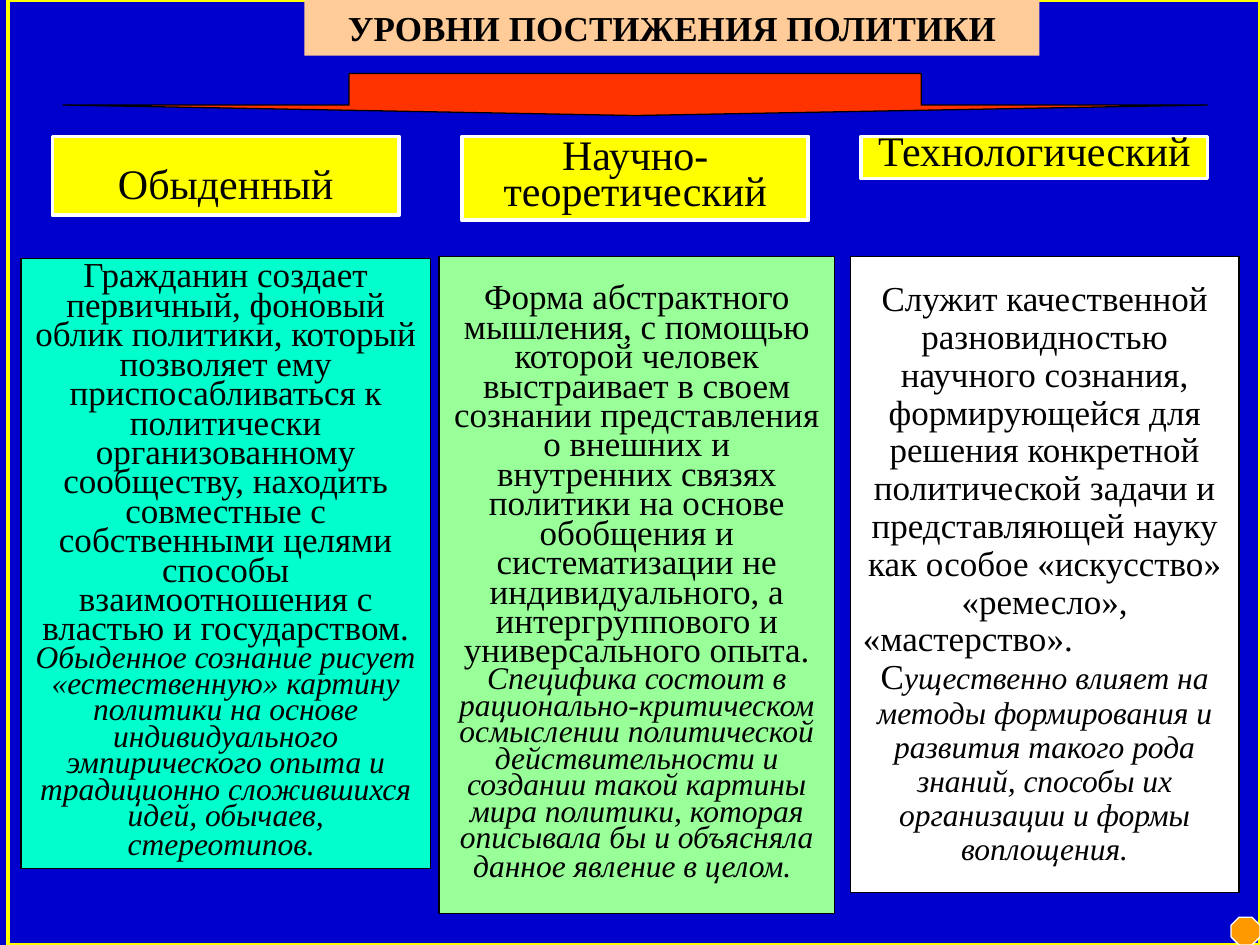
from dataclasses import dataclass

from pptx import Presentation
from pptx.dml.color import RGBColor
from pptx.enum.shapes import MSO_SHAPE
from pptx.enum.text import MSO_ANCHOR, PP_ALIGN
from pptx.util import Inches, Pt

COLUMNS, ROWS = 120, 90


@dataclass(frozen=True)
class Theme:
    font: str = "Times New Roman"
    background: str = "0000CC"
    ink: str = "000000"
    white: str = "FFFFFF"
    yellow: str = "FFFF00"
    peach: str = "FFCC99"
    red: str = "FF3300"
    orange: str = "FF9900"
    turquoise: str = "00FFCC"
    green: str = "99FF99"
    heading: int = 24
    body: int = 20
    remark: int = 18
    thin: float = 0.75
    thick: float = 2.25


THEME = Theme()
TITLE = {"size": Pt(THEME.body), "bold": True}
HEADING = {"size": Pt(THEME.heading)}
BODY = {"size": Pt(THEME.body)}
REMARK = {"size": Pt(THEME.remark), "italic": True}


class SlideBuilder:
    def __init__(self, presentation, theme):
        self.theme = theme
        self.column = presentation.slide_width / COLUMNS
        self.row = presentation.slide_height / ROWS
        self.slide = presentation.slides.add_slide(presentation.slide_layouts[6])
        fill = self.slide.background.fill
        fill.solid()
        fill.fore_color.rgb = RGBColor.from_string(theme.background)

    def shape(self, kind, place, fill=None, line=None, width=THEME.thin, adjustments=()):
        """Add a preset shape; place is left, top, width, height in grid units."""
        left, top, across, down = place
        shape = self.slide.shapes.add_shape(
            kind, int(left * self.column), int(top * self.row),
            int(across * self.column), int(down * self.row))
        shape.shadow.inherit = False
        for index, value in enumerate(adjustments):
            shape.adjustments[index] = value
        for target, color in ((shape.fill, fill), (shape.line.fill, line)):
            if color:
                target.solid()
                target.fore_color.rgb = RGBColor.from_string(color)
            else:
                target.background()
        if line:
            shape.line.width = Pt(width)
        return shape

    def text_box(self, place, fill, paragraphs, spacing=1.0, anchor=MSO_ANCHOR.TOP, **outline):
        """Add a filled box; each paragraph is an alignment and its (text, format) runs."""
        frame = self.shape(MSO_SHAPE.RECTANGLE, place, fill, **outline).text_frame
        frame.word_wrap = True
        frame.vertical_anchor = anchor
        for index, (alignment, runs) in enumerate(paragraphs):
            paragraph = frame.add_paragraph() if index else frame.paragraphs[0]
            paragraph.alignment = alignment
            paragraph.line_spacing = spacing
            for text, values in runs:
                run = paragraph.add_run()
                run.text = text
                run.font.color.rgb = RGBColor.from_string(self.theme.ink)
                for name, value in {"name": self.theme.font, **values}.items():
                    setattr(run.font, name, value)

    def heading(self, left, height, text, spacing):
        self.text_box((left, 13, 33, height), self.theme.yellow,
                      [(PP_ALIGN.CENTER, [(text, HEADING)])], spacing,
                      line=self.theme.white, width=self.theme.thick)


LEVELS = [
    {
        "heading": (5, 7.5, "Обыденный", 1.3),
        "place": (2, 24.6, 39, 58.1), "fill": THEME.turquoise,
        "spacing": 0.7, "anchor": MSO_ANCHOR.TOP,
        "paragraphs": [(PP_ALIGN.CENTER, [
            ("Гражданин создает первичный, фоновый облик политики, который позволяет ему "
             "приспосабливаться к политически организованному сообществу, находить совместные "
             "с собственными целями способы взаимоотношения с властью и государством. ", BODY),
            ("Обыденное сознание рисует «естественную» картину политики на основе "
             "индивидуального эмпирического опыта и традиционно сложившихся идей, обычаев, "
             "стереотипов.", REMARK),
            (" ", BODY)])],
    },
    {
        "heading": (44, 8, "Научно-теоретический", 0.7),
        "place": (41.8, 24.4, 37.7, 62.6), "fill": THEME.green,
        "spacing": 0.7, "anchor": MSO_ANCHOR.MIDDLE,
        "paragraphs": [(PP_ALIGN.CENTER, [
            ("Форма абстрактного мышления, с помощью которой человек выстраивает в своем "
             "сознании представления о внешних и внутренних связях политики на основе "
             "обобщения и систематизации не индивидуального, а интергруппового и "
             "универсального опыта. ", BODY),
            ("Специфика состоит в рационально-критическом осмыслении политической "
             "действительности и создании такой картины мира политики, которая описывала бы "
             "и объясняла данное явление в целом.", REMARK),
            (" ", BODY)])],
    },
    {
        "heading": (82, 4, "Технологический", 0.6),
        "place": (81, 24.4, 37, 60.6), "fill": THEME.white,
        "spacing": 0.9, "anchor": MSO_ANCHOR.MIDDLE,
        "paragraphs": [
            (PP_ALIGN.CENTER, [
                ("Служит качественной разновидностью научного сознания, формирующейся для "
                 "решения конкретной политической задачи и представляющей науку как особое "
                 "«искусство» «ремесло»,", BODY)]),
            (PP_ALIGN.LEFT, [("«мастерство».", BODY)]),
            (PP_ALIGN.CENTER, [
                ("С", BODY),
                ("ущественно влияет на методы формирования и развития такого рода знаний, "
                 "способы их организации и формы воплощения.", REMARK)])],
    },
]


def main():
    presentation = Presentation()
    presentation.slide_width, presentation.slide_height = Inches(10), Inches(7.5)
    builder = SlideBuilder(presentation, THEME)

    builder.shape(MSO_SHAPE.RECTANGLE, (0.75, 0, 119.25, 90), line=THEME.yellow,
                  width=THEME.thick)
    builder.shape(MSO_SHAPE.OCTAGON, (117.25, 87.35, 2.75, 2.65), THEME.orange,
                  THEME.white, adjustments=(0.29,))
    builder.text_box((29, 0, 70, 5.3), THEME.peach,
                     [(PP_ALIGN.CENTER, [("УРОВНИ ПОСТИЖЕНИЯ ПОЛИТИКИ", TITLE)])])
    builder.shape(MSO_SHAPE.DOWN_ARROW, (6, 7, 109, 4), THEME.red, THEME.ink,
                  adjustments=(0.5, 0.25))
    for level in LEVELS:
        builder.heading(*level["heading"])
        builder.text_box(level["place"], level["fill"], level["paragraphs"],
                         level["spacing"], level["anchor"], line=THEME.ink)

    presentation.save("out.pptx")


if __name__ == "__main__":
    main()
